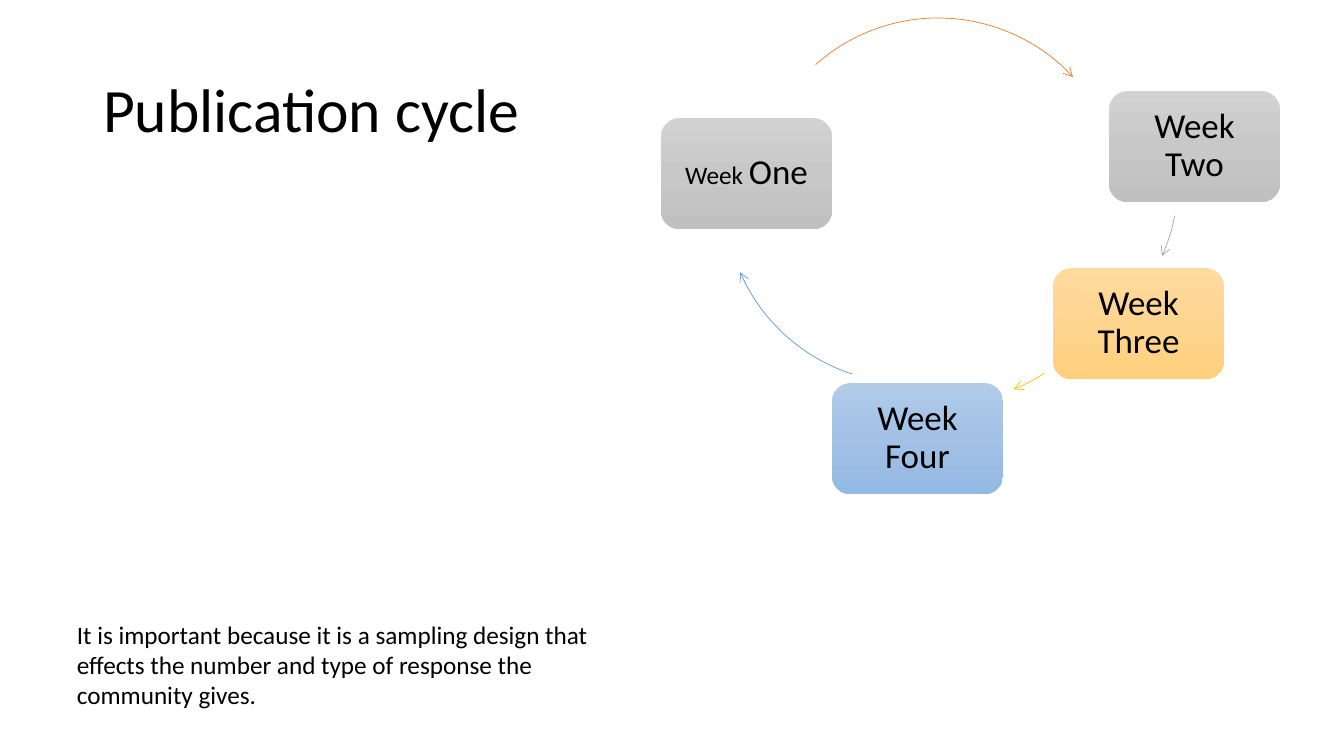
"""Builds the publication cycle slide: four weeks joined by arc arrows."""
import copy

import pptx
import pptx.util
from lxml import etree
from pptx.dml.color import RGBColor
from pptx.enum.shapes import MSO_SHAPE
from pptx.enum.text import MSO_ANCHOR, PP_ALIGN
from pptx.oxml.ns import qn

PX = 914400 / 100.8
BLACK = RGBColor(0x00, 0x00, 0x00)
ORANGE = RGBColor(0xED, 0x7D, 0x31)
GREY = RGBColor(0xA5, 0xA5, 0xA5)
GOLD = RGBColor(0xFF, 0xC0, 0x00)
BLUE = RGBColor(0x5B, 0x9B, 0xD5)
GREY_FADE = (RGBColor(0xD2, 0xD2, 0xD2), RGBColor(0xC8, 0xC8, 0xC8), RGBColor(0xC0, 0xC0, 0xC0))
GOLD_FADE = (RGBColor(0xFF, 0xDB, 0x9E), RGBColor(0xFF, 0xD5, 0x90), RGBColor(0xFF, 0xD0, 0x7C))
BLUE_FADE = (RGBColor(0xB1, 0xCB, 0xE9), RGBColor(0xA3, 0xC1, 0xE5), RGBColor(0x93, 0xB9, 0xE4))

CARD_W, CARD_H, CARD_MARGIN = 171, 111, 16
ARC_SIZE = 368
WEEKS = [
    (661, 118, GREY_FADE, [("Week ", 18), ("One", 25)]),
    (1109, 91, GREY_FADE, [("Week Two", 25)]),
    (1053, 268, GOLD_FADE, [("Week Three", 25)]),
    (832, 383, BLUE_FADE, [("Week Four", 25)]),
]
ARCS = [
    (754, 18, 228.3, 317.2, ORANGE),
    (810, -3, 10.9, 24.1, GREY),
    (760, 35, 57, 67.7, GOLD),
    (725, 15, 108, 156.5, BLUE),
]


def px(*lengths):
    """Turn pixel lengths into EMU."""
    return [pptx.util.Emu(round(n * PX)) for n in lengths]


def set_all(obj, values):
    """Set each attribute named in values."""
    for name, value in values.items():
        setattr(obj, name, value)


def write(tf, runs, frame, para):
    """Write one paragraph of (text, size) runs."""
    set_all(tf, {"word_wrap": True, **frame})
    p = tf.paragraphs[0]
    set_all(p, para)
    for text, size in runs:
        r = p.add_run()
        r.text = text
        set_all(r.font, {"size": pptx.util.Pt(size), "name": "Calibri"})
        r.font.color.rgb = BLACK


def fade(sp, colors):
    """Fill a shape with an even top-to-bottom gradient."""
    sp.fill.gradient()
    sp.fill.gradient_angle = 270
    stop_list = sp._element.spPr.find(qn("a:gradFill")).find(qn("a:gsLst"))
    stop_list.insert(1, copy.deepcopy(stop_list[0]))
    for i, (stop, color) in enumerate(zip(sp.fill.gradient_stops, colors)):
        stop.position = i / (len(colors) - 1)
        stop.color.rgb = color


def add_week(s, left, top, colors, runs):
    """Add a rounded card for one week."""
    sp = s.shapes.add_shape(MSO_SHAPE.ROUNDED_RECTANGLE, *px(left, top, CARD_W, CARD_H))
    sp.shadow.inherit = False
    sp.line.fill.background()
    fade(sp, colors)
    sides = ("margin_left", "margin_top", "margin_right", "margin_bottom")
    frame = dict.fromkeys(sides, px(CARD_MARGIN)[0])
    frame["vertical_anchor"] = MSO_ANCHOR.MIDDLE
    write(sp.text_frame, runs, frame, {"alignment": PP_ALIGN.CENTER, "line_spacing": 0.9})


def add_arc(s, left, top, start, end, color):
    """Add a clockwise arc between two angles with an arrow at its end."""
    sp = s.shapes.add_shape(MSO_SHAPE.ARC, *px(left, top, ARC_SIZE, ARC_SIZE))
    sp.shadow.inherit = False
    for i, degrees in enumerate((start, end)):
        sp.adjustments[i] = degrees * 0.6
    sp.fill.background()
    sp.line.color.rgb = color
    sp.line.width = pptx.util.Pt(0.5)
    etree.SubElement(sp._element.spPr.find(qn("a:ln")), qn("a:tailEnd"), type="arrow")


def add_title(s, text):
    """Place and format the title."""
    sp = s.shapes.title
    set_all(sp, dict(zip(("left", "top", "width", "height"), px(93, 40, 1159, 146))))
    write(sp.text_frame, [(text, 44)], {"vertical_anchor": MSO_ANCHOR.MIDDLE},
          {"alignment": PP_ALIGN.LEFT, "line_spacing": 0.9})


def add_note(s, text):
    """Add the remark at the foot of the slide."""
    sp = s.shapes.add_textbox(*px(67, 614, 561, 102))
    write(sp.text_frame, [(text, 18)], {}, {"alignment": PP_ALIGN.LEFT})


def main():
    """Build and save the slide."""
    prs = pptx.Presentation()
    prs.slide_width, prs.slide_height = px(1344, 756)
    s = prs.slides.add_slide(prs.slide_layouts[5])
    add_title(s, "Publication cycle")
    for week, arc in zip(WEEKS, ARCS):
        add_week(s, *week)
        add_arc(s, *arc)
    add_note(s, "It is important because it is a sampling design that effects "
                "the number and type of response the community gives.")
    prs.save("out.pptx")


if __name__ == "__main__":
    main()
